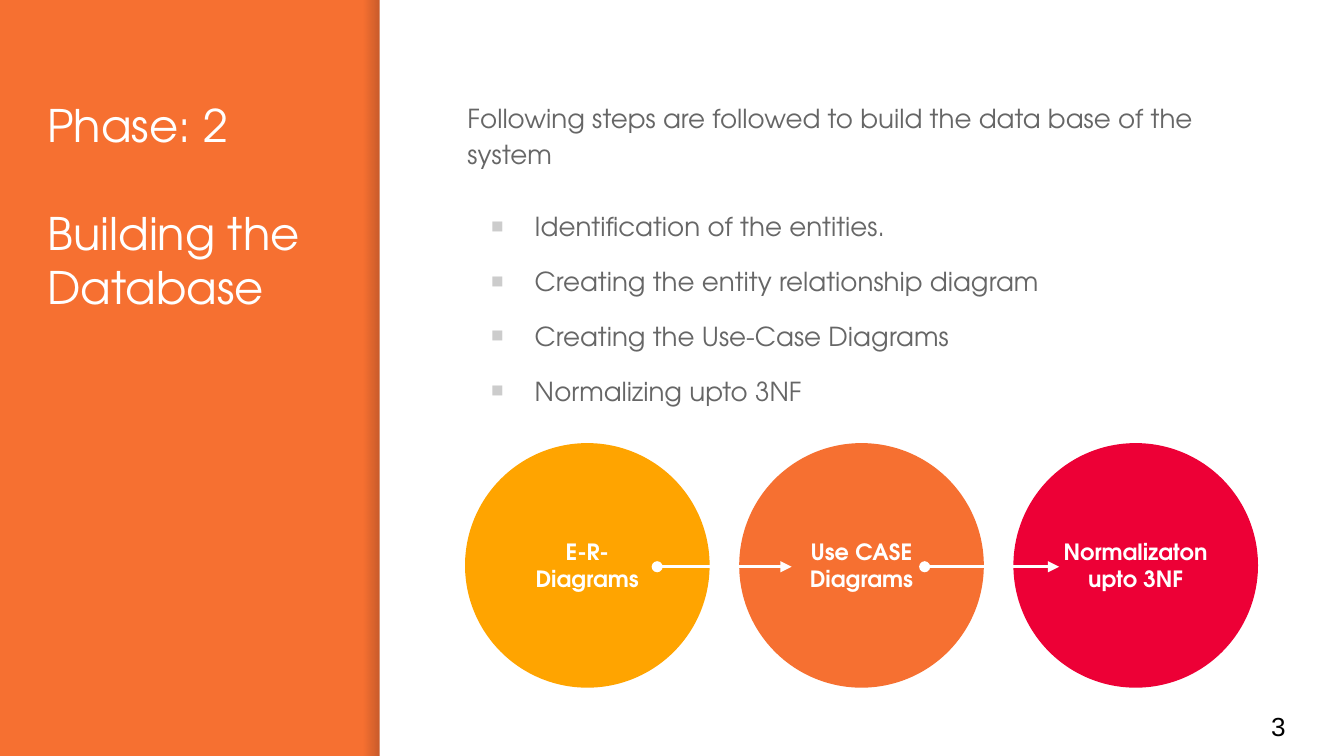
from dataclasses import dataclass

from lxml import etree
from pptx import Presentation
from pptx import util as u
from pptx.dml.color import RGBColor
from pptx.enum import shapes, text
from pptx.oxml import ns

CELL = u.Inches(0.1)
COLUMNS, ROWS = 100, 56.25
DISPLAY = "TeX Gyre Adventor"
WHITE, ORANGE, GREY = "FFFFFF", "F67031", "666666"


@dataclass(frozen=True)
class Area:
    column: float
    row: float
    columns: float
    rows: float

    def emu(self) -> list[int]:
        return [cells(n) for n in (self.column, self.row, self.columns, self.rows)]


@dataclass(frozen=True)
class Line:
    words: str
    size: float
    color: str
    font: str = DISPLAY
    bold: bool = False
    bullet: bool = False
    spacing: float = 1.0
    after: float = 0
    align: text.PP_ALIGN = text.PP_ALIGN.LEFT


@dataclass(frozen=True)
class Step:
    label: str
    color: str
    side_inset: float = 1


def cells(count: float) -> int:
    return round(count * CELL)


def rgb(value: str) -> RGBColor:
    return RGBColor.from_string(value)


def add_child(parent, tag: str, **attributes: str):
    return etree.SubElement(parent, ns.qn(tag), attributes)


def assign(target, values: dict) -> None:
    for key, value in values.items():
        setattr(target, key, value)


def add_bullet(paragraph) -> None:
    properties = paragraph._p.get_or_add_pPr()
    properties.set("marL", str(u.Inches(0.5)))
    properties.set("indent", str(u.Inches(-0.33)))
    add_child(add_child(properties, "a:buClr"), "a:srgbClr", val="CCCCCC")
    add_child(properties, "a:buFont", typeface=DISPLAY)
    add_child(properties, "a:buChar", char="▪")


def write(shape, lines: list[Line], anchor=text.MSO_ANCHOR.TOP,
          side_inset: float = 1) -> None:
    frame = shape.text_frame
    assign(frame, {
        "word_wrap": True,
        "vertical_anchor": anchor,
        "margin_left": cells(side_inset),
        "margin_right": cells(side_inset),
        "margin_top": CELL,
        "margin_bottom": CELL,
    })
    for index, line in enumerate(lines):
        paragraph = frame.add_paragraph() if index else frame.paragraphs[0]
        assign(paragraph, {
            "alignment": line.align,
            "line_spacing": line.spacing,
            "space_after": u.Pt(line.after),
        })
        if line.bullet:
            add_bullet(paragraph)
        run = paragraph.add_run()
        run.text = line.words
        assign(run.font, {"name": line.font, "size": u.Pt(line.size), "bold": line.bold})
        run.font.color.rgb = rgb(line.color)


def add_figure(slide, kind, area: Area, color: str):
    figure = slide.shapes.add_shape(kind, *area.emu())
    figure.shadow.inherit = False
    figure.line.fill.background()
    figure.fill.solid()
    figure.fill.fore_color.rgb = rgb(color)
    return figure


def add_edge_shade(slide, area: Area) -> None:
    shade = add_figure(slide, shapes.MSO_SHAPE.RECTANGLE, area, "000014")
    shade.fill.gradient()
    shade.fill.gradient_angle = 0
    for stop, position, alpha in zip(shade.fill.gradient_stops, (0, 1), (0, 20000)):
        stop.position = position
        stop.color.rgb = rgb("000014")
        add_child(stop._gs[0], "a:alpha", val=str(alpha))


def add_arrow(slide, column: float, row: float, length: float) -> None:
    arrow = slide.shapes.add_connector(
        shapes.MSO_CONNECTOR.STRAIGHT,
        cells(column), cells(row), cells(column + length), cells(row),
    )
    arrow.line.width = u.Pt(1.5)
    arrow.line.color.rgb = rgb(WHITE)
    outline = arrow.line._get_or_add_ln()
    add_child(outline, "a:headEnd", type="oval")
    add_child(outline, "a:tailEnd", type="triangle")
    add_child(arrow._element.spPr, "a:effectLst")


def add_words(slide, area: Area, lines: list[Line], anchor=text.MSO_ANCHOR.TOP) -> None:
    write(slide.shapes.add_textbox(*area.emu()), lines, anchor)


def add_steps(slide, steps: list[Step]) -> None:
    first, pitch, top, diameter = 34.6, 20.4, 32.97, 18.2
    for index, step in enumerate(steps):
        area = Area(first + index * pitch, top, diameter, diameter)
        circle = add_figure(slide, shapes.MSO_SHAPE.OVAL, area, step.color)
        label = Line(step.label, 12, WHITE, bold=True, align=text.PP_ALIGN.CENTER)
        write(circle, [label], text.MSO_ANCHOR.MIDDLE, step.side_inset)
    for column in (48.9, 68.8):
        add_arrow(slide, column, top + diameter / 2 + 0.1, 10)


def main() -> None:
    deck = Presentation()
    assign(deck, {"slide_width": cells(COLUMNS), "slide_height": cells(ROWS)})
    slide = deck.slides.add_slide(deck.slide_layouts[6])
    slide.background.fill.solid()
    slide.background.fill.fore_color.rgb = rgb(ORANGE)

    panel = 28.25
    add_edge_shade(slide, Area(panel - 1.2, 0, 1.2, ROWS))
    add_figure(slide, shapes.MSO_SHAPE.RECTANGLE,
               Area(panel, 0, COLUMNS - panel, ROWS), WHITE)

    add_words(slide, Area(2.55, 6.3, 22.4, 43.5), [
        Line("Phase: 2", 24, WHITE, after=29),
        Line("Building the Database", 24, WHITE),
    ])
    intro = "Following steps are followed to build the data base of the system"
    tasks = [
        "Identification of the entities.",
        "Creating the entity relationship diagram",
        "Creating the Use-Case Diagrams",
        "Normalizing upto 3NF",
    ]
    add_words(slide, Area(33.8, 6.3, 61.2, 30.2), [
        Line(intro, 14, GREY, spacing=1.15, after=19.3),
        *(Line(task, 14, GREY, bullet=True, spacing=1.15, after=10) for task in tasks),
    ])
    add_words(slide, Area(93.6, 51.9, 6, 4.3),
              [Line("3", 14, "000000", font="Arial")], text.MSO_ANCHOR.MIDDLE)
    add_steps(slide, [
        Step("E-R-Diagrams", "FFA400", side_inset=2),
        Step("Use CASE Diagrams", ORANGE),
        Step("Normalizaton upto 3NF", "ED0036"),
    ])
    deck.save("out.pptx")


if __name__ == "__main__":
    main()
